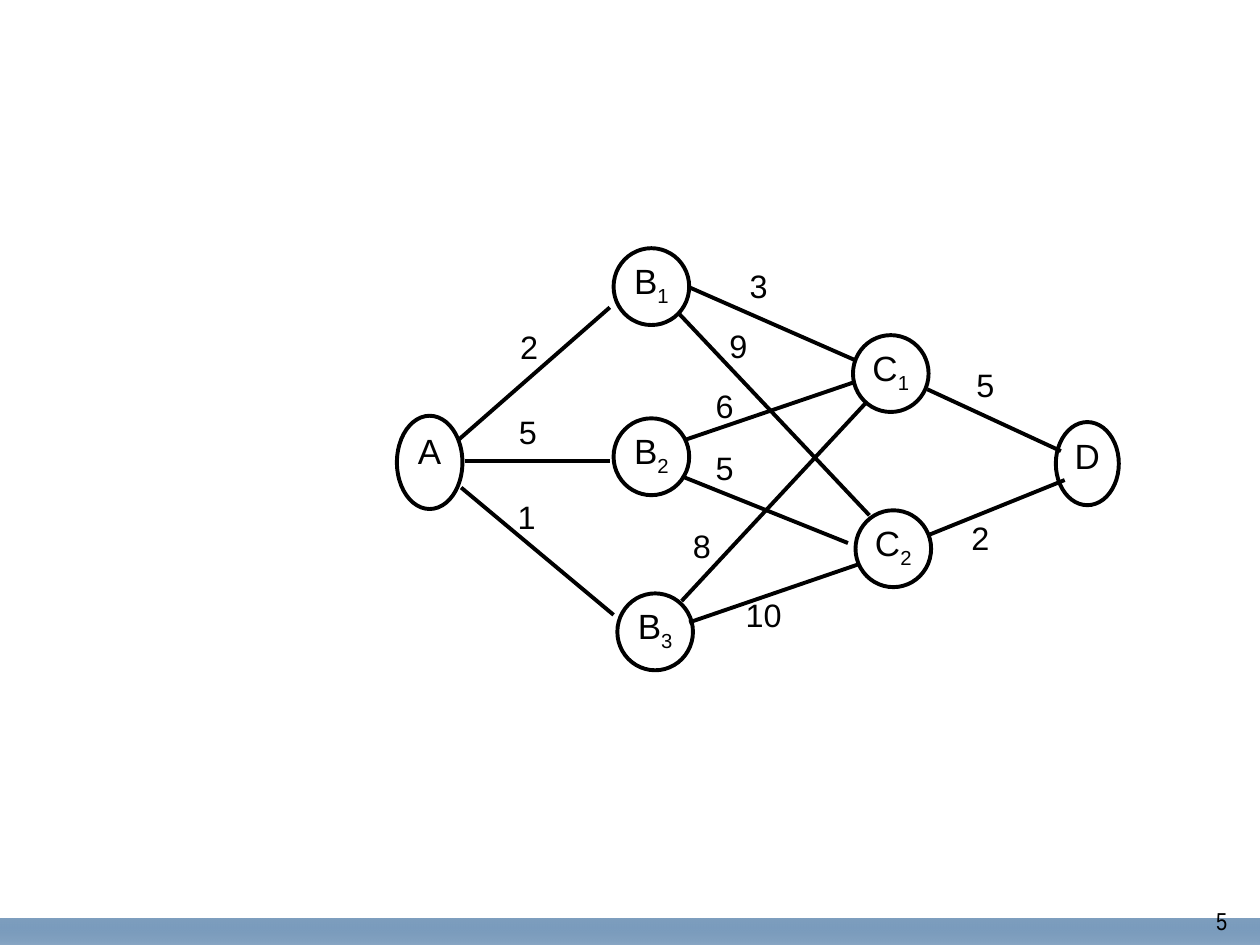
from lxml.etree import SubElement
from pptx import Presentation
from pptx.dml.color import RGBColor
from pptx.enum.shapes import MSO_CONNECTOR as Connector, MSO_SHAPE as Shape
from pptx.enum.text import MSO_ANCHOR as Anchor, PP_ALIGN as Align
from pptx.oxml.ns import qn
from pptx.util import Pt

SCALE = 9144
COLORS = {"ink": "000000", "bar_top": "7D9EBE", "bar_bottom": "336699"}
NODE_SIZE = (60, 61)
LABEL_SIZE = (32, 33)

NODES = [
    ("B", "1", 487, 197, *NODE_SIZE),
    ("B", "3", 490, 471, *NODE_SIZE),
    ("C", "1", 677, 266, *NODE_SIZE),
    ("A", "", 315, 330, 52, 74),
    ("C", "2", 679, 405, *NODE_SIZE),
    ("D", "", 838, 335, 50, 66),
    ("B", "2", 487, 332, *NODE_SIZE),
]
EDGES = [
    (364, 349, 484, 244),
    (369, 366, 484, 366),
    (366, 387, 487, 488),
    (547, 228, 679, 286),
    (736, 309, 842, 358),
    (547, 494, 681, 448),
    (736, 425, 845, 381),
    (544, 349, 679, 303),
    (541, 378, 673, 431),
    (538, 248, 690, 409),
    (541, 477, 687, 320),
]
WEIGHTS = [
    ("2", 404, 263),
    ("5", 403, 331),
    ("1", 402, 398),
    ("3", 586, 215),
    ("9", 570, 262),
    ("6", 559, 310),
    ("5", 559, 359),
    ("8", 541, 421),
    ("10", 590, 476),
    ("5", 766, 293),
    ("2", 762, 415),
]


def px(*lengths):
    """Turn px lengths into EMU."""
    return [length * SCALE for length in lengths]


def color(name):
    """Look up a named colour."""
    return RGBColor.from_string(COLORS[name])


class GraphSlide:
    """Draws a weighted graph on the current slide in one style."""

    def __init__(self, page, font="Arial", stroke=2.25):
        """Keep the slide and the style."""
        self.page = page
        self.font = font
        self.stroke = Pt(stroke)

    def outline(self, line):
        """Apply the shared stroke."""
        line.color.rgb = color("ink")
        line.width = self.stroke

    def set_words(self, shape, words, size, align=Align.CENTER, font=None, inset=(0, 0), spacing=None):
        """Fill a shape with one styled paragraph."""
        frame = shape.text_frame
        frame.word_wrap = True
        frame.vertical_anchor = Anchor.TOP
        frame.margin_left = frame.margin_right = px(inset[0])[0]
        frame.margin_top = frame.margin_bottom = px(inset[1])[0]
        frame.text = words
        para = frame.paragraphs[0]
        para.alignment = align
        para.line_spacing = spacing
        self.style(para.runs[0], size, font)
        return para

    def style(self, span, size, font=None):
        """Format a run."""
        span.font.name = font or self.font
        span.font.size = Pt(size)
        span.font.color.rgb = color("ink")

    def bar(self, left, top, width, height):
        """Add the footer band with its gradient."""
        band = self.page.shapes.add_shape(Shape.RECTANGLE, *px(left, top, width, height))
        band.shadow.inherit = False
        band.line.fill.background()
        band.fill.gradient()
        band.fill.gradient_angle = 270
        for stop, name in zip(band.fill.gradient_stops, ("bar_top", "bar_bottom")):
            stop.color.rgb = color(name)
        last = list(band._element.spPr.iter(qn("a:srgbClr")))[-1]
        SubElement(last, qn("a:alpha")).set("val", "57000")

    def text(self, words, left, top, width, height, size, **options):
        """Add a text box."""
        box = self.page.shapes.add_textbox(*px(left, top, width, height))
        self.set_words(box, words, size, **options)

    def edge(self, *ends):
        """Add a straight line between two points."""
        line = self.page.shapes.add_connector(Connector.STRAIGHT, *px(*ends))
        self.outline(line.line)
        SubElement(line._element.spPr, qn("a:effectLst"))

    def node(self, letter, index, *place):
        """Add a node with an optional subscript."""
        oval = self.page.shapes.add_shape(Shape.OVAL, *px(*place))
        oval.shadow.inherit = False
        oval.fill.background()
        self.outline(oval.line)
        para = self.set_words(oval, letter, 20)
        if index:
            span = para.add_run()
            span.text = index
            self.style(span, 20)
            span.font._element.set("baseline", "-25000")


def main():
    """Build and save the deck."""
    deck = Presentation()
    deck.slide_width, deck.slide_height = px(1000, 750)
    graph = GraphSlide(deck.slides.add_slide(deck.slide_layouts[6]))
    graph.bar(0, 729, 1000, 21)
    graph.text("5", 776, 714, 208, 36, 14, align=Align.RIGHT, font="Arial Narrow", inset=(10, 5))
    for ends in EDGES:
        graph.edge(*ends)
    for weight, left, top in WEIGHTS:
        graph.text(weight, left, top, *LABEL_SIZE, 18.5, spacing=0.9)
    for node in NODES:
        graph.node(*node)
    deck.save("out.pptx")


if __name__ == "__main__":
    main()
